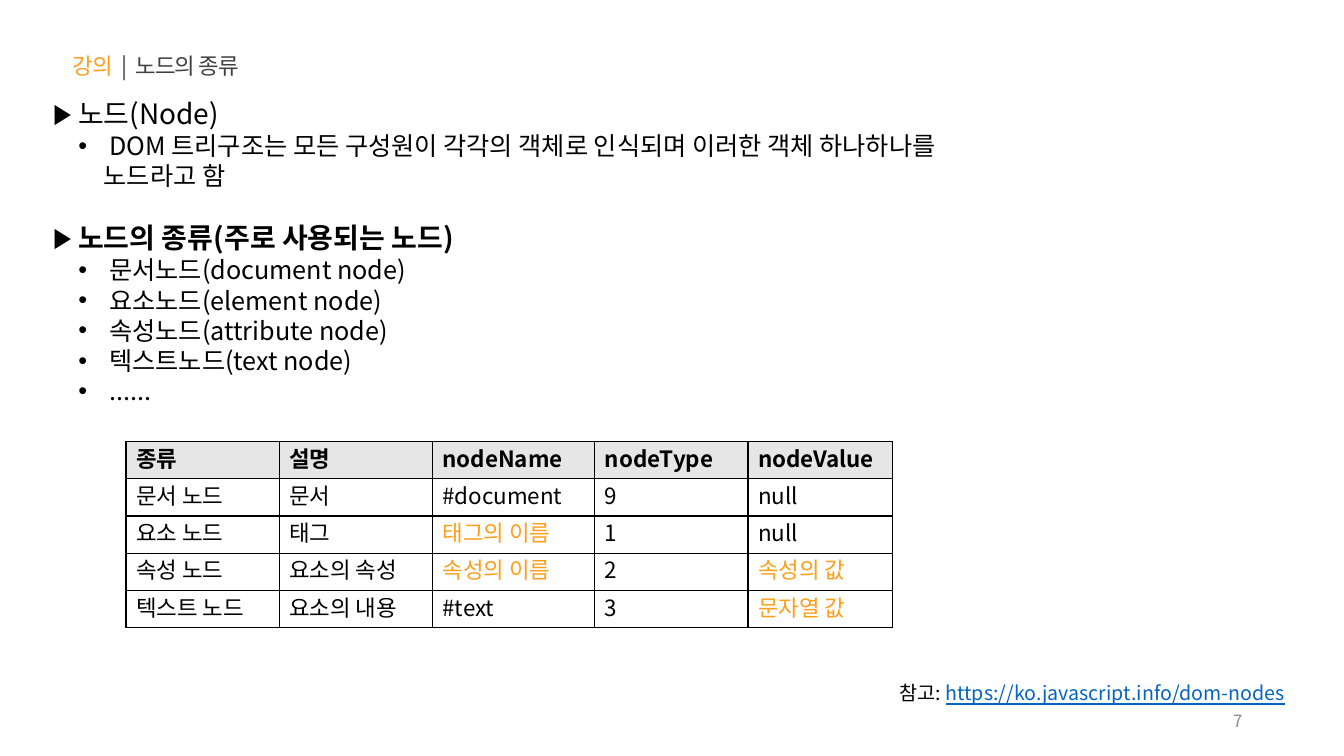
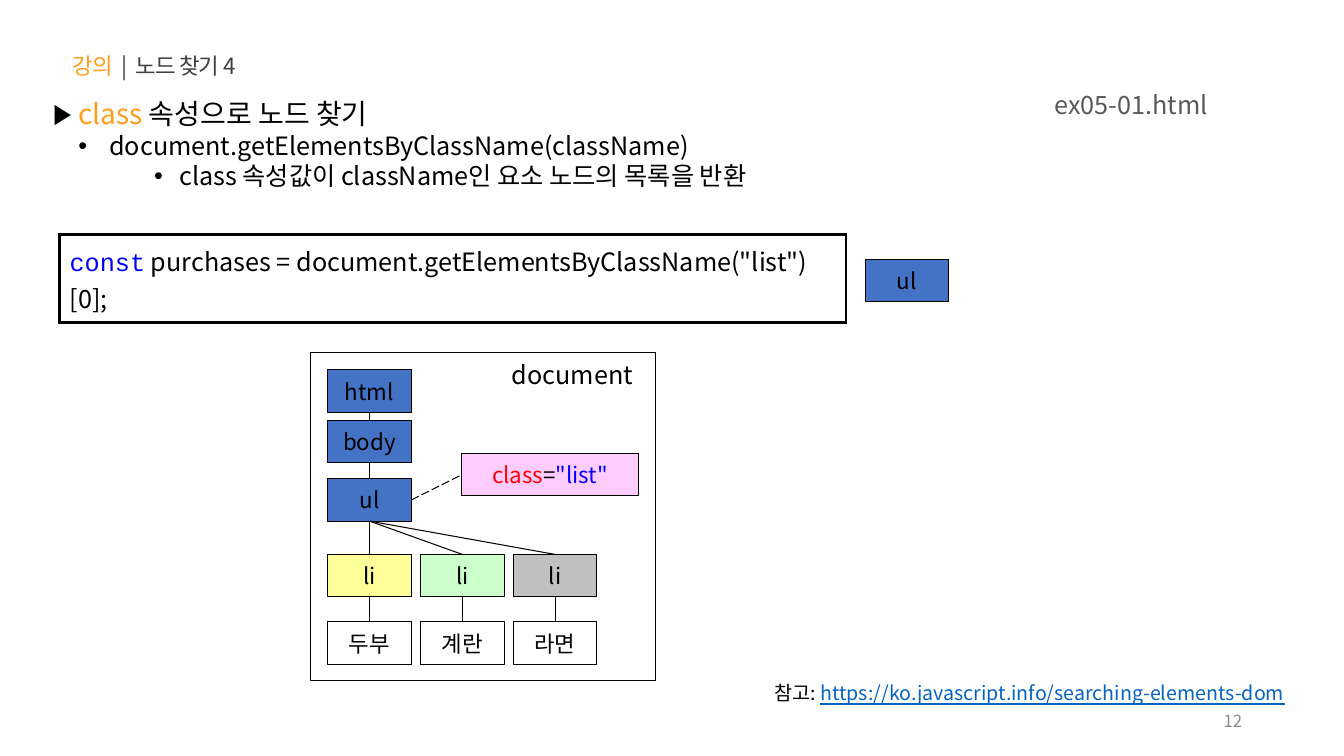
from lxml import etree
from pptx import Presentation
from pptx.dml.color import RGBColor
from pptx.enum.dml import MSO_LINE
from pptx.enum.shapes import MSO_CONNECTOR, MSO_SHAPE
from pptx.enum.text import MSO_ANCHOR, PP_ALIGN
from pptx.oxml.ns import qn
from pptx.util import Inches, Pt

LEFT, CENTER, RIGHT = PP_ALIGN.LEFT, PP_ALIGN.CENTER, PP_ALIGN.RIGHT
TOP, MIDDLE = MSO_ANCHOR.TOP, MSO_ANCHOR.MIDDLE
RECT, STRAIGHT = MSO_SHAPE.RECTANGLE, MSO_CONNECTOR.STRAIGHT
LONG_DASH = MSO_LINE.LONG_DASH

FONT, CODE_FONT = "Noto Sans CJK KR", "Courier New"
BLACK = RGBColor(0x00, 0x00, 0x00)
WHITE = RGBColor(0xFF, 0xFF, 0xFF)
ORANGE = RGBColor(0xFF, 0x9E, 0x1B)
TITLE_GRAY = RGBColor(0x40, 0x40, 0x40)
FILE_GRAY = RGBColor(0x59, 0x59, 0x59)
PAGE_GRAY = RGBColor(0x8C, 0x8C, 0x8C)
HEADER_GRAY = RGBColor(0xE6, 0xE6, 0xE6)
LINK_BLUE = RGBColor(0x05, 0x63, 0xC1)
NODE_BLUE = RGBColor(0x44, 0x72, 0xC4)
CODE_BLUE = RGBColor(0x00, 0x00, 0xFF)
CODE_RED = RGBColor(0xFF, 0x00, 0x00)
PINK = RGBColor(0xFF, 0xCC, 0xFF)
YELLOW = RGBColor(0xFF, 0xFF, 0x99)
GREEN = RGBColor(0xCC, 0xFF, 0xCC)
SILVER = RGBColor(0xC0, 0xC0, 0xC0)

# Bullet sign, text size, left margin and first-line indent of each level
LEVELS = [("▶", 20, 0, 0), ("•", 18, 0.5, -0.25), ("•", 18, 1.25, -0.25)]


def write(p, runs, size, align=LEFT, bold=False, pitch=1.2):
    """Fill a paragraph with (text, colour) runs; pitch is line height over size."""
    p.alignment = align
    p.line_spacing = Pt(round(size * pitch, 1))
    for text, color in runs:
        r = p.add_run()
        r.text = text
        r.font.name = FONT
        r.font.size = Pt(size)
        r.font.bold = bold
        r.font.color.rgb = color
        r.font.underline = color == LINK_BLUE
        etree.SubElement(r._r.get_or_add_rPr(), qn("a:ea"), typeface=FONT)


def add_grid(slide, x, y, widths, rows, row_height, border):
    """Add a table without banding, with black borders of the given points."""
    table = slide.shapes.add_table(
        rows, len(widths), Inches(x), Inches(y),
        Inches(sum(widths)), Inches(row_height * rows)).table
    table.first_row = table.horz_banding = False
    for column, width in zip(table.columns, widths):
        column.width = Inches(width)
    for cell in table.iter_cells():
        tcPr = cell._tc.get_or_add_tcPr()
        for side in ("a:lnL", "a:lnR", "a:lnT", "a:lnB"):
            ln = etree.SubElement(tcPr, qn(side), w=str(Pt(border)))
            fill = etree.SubElement(ln, qn("a:solidFill"))
            etree.SubElement(fill, qn("a:srgbClr"), val=str(BLACK))
        cell.fill.background()
    return table


prs = Presentation()
prs.slide_width, prs.slide_height = Inches(13.33), Inches(7.5)

# Title, page number, reference, body height, body as (level, runs, bold)
PAGES = [
    ("노드의 종류", "7", "https://ko.javascript.info/dom-nodes", 3.17, [
        (0, [(" 노드(Node)", BLACK)], False),
        (1, [(" DOM 트리구조는 모든 구성원이 각각의 객체로 인식되며 "
              "이러한 객체 하나하나를 노드라고 함", BLACK)], False),
        (0, [(" 노드의 종류(주로 사용되는 노드)", BLACK)], True),
        (1, [(" 문서노드(document node)", BLACK)], False),
        (1, [(" 요소노드(element node)", BLACK)], False),
        (1, [(" 속성노드(attribute node)", BLACK)], False),
        (1, [(" 텍스트노드(text node)", BLACK)], False),
        (1, [(" ......", BLACK)], False),
    ]),
    ("노드 찾기 4", "12", "https://ko.javascript.info/searching-elements-dom", 1.03, [
        (0, [(" ", BLACK), ("class ", ORANGE), ("속성으로 노드 찾기", BLACK)], False),
        (1, [(" document.getElementsByClassName(className)", BLACK)], False),
        (2, [("class 속성값이 className인 요소 노드의 목록을 반환", BLACK)], False),
    ]),
]

slides = []
for title, number, link, body_height, body in PAGES:
    slide = prs.slides.add_slide(prs.slide_layouts[6])
    slides.append(slide)
    labels = [
        (0.62, 0.47, 5.15, 0.37, 16, LEFT, TOP,
         [("강의  ", ORANGE), ("|  " + title, TITLE_GRAY)]),
        (9.42, 6.95, 3, 0.4, 12, RIGHT, MIDDLE, [(number, PAGE_GRAY)]),
        (7.27, 6.71, 5.57, 0.34, 14, RIGHT, TOP,
         [("참고: ", BLACK), (link, LINK_BLUE)]),
    ]
    if number == "12":
        labels += [
            (8.08, 0.84, 4, 0.4, 18, RIGHT, TOP, [("ex05-01.html", FILE_GRAY)]),
            (4.98, 3.52, 1.47, 0.4, 18, LEFT, TOP, [("document", BLACK)]),
        ]
    for x, y, w, h, size, align, anchor, runs in labels:
        tf = slide.shapes.add_textbox(Inches(x), Inches(y), Inches(w), Inches(h)).text_frame
        tf.word_wrap = True
        tf.vertical_anchor = anchor
        write(tf.paragraphs[0], runs, size, align)
        if size == 16:
            for r in tf.paragraphs[0].runs:
                r.font._element.set("spc", "-60")

    tf = slide.shapes.add_textbox(
        Inches(0.43), Inches(0.91), Inches(9.14), Inches(body_height)).text_frame
    tf.word_wrap = True
    for i, (level, runs, bold) in enumerate(body):
        p = tf.add_paragraph() if i else tf.paragraphs[0]
        sign, size, margin, indent = LEVELS[level]
        p.level = level
        write(p, runs, size, bold=bold)
        if i and level == 0:
            p.space_before = Pt(21.6)
        pPr = p._p.get_or_add_pPr()
        pPr.set("marL", str(Inches(margin)))
        pPr.set("indent", str(Inches(indent)))
        etree.SubElement(pPr, qn("a:buFont"), typeface="Arial")
        etree.SubElement(pPr, qn("a:buChar"), char=sign)

kinds_slide, search_slide = slides

# Table of node kinds
NODE_ROWS = [
    ["종류", "설명", "nodeName", "nodeType", "nodeValue"],
    ["문서 노드", "문서", "#document", "9", "null"],
    ["요소 노드", "태그", "태그의 이름", "1", "null"],
    ["속성 노드", "요소의 속성", "속성의 이름", "2", "속성의 값"],
    ["텍스트 노드", "요소의 내용", "#text", "3", "문자열 값"],
]
HIGHLIGHTS = {"태그의 이름", "속성의 이름", "속성의 값", "문자열 값"}
table = add_grid(kinds_slide, 1.25, 4.38, [1.52, 1.52, 1.61, 1.52, 1.43],
                 len(NODE_ROWS), 0.37, 1)
for i, row in enumerate(NODE_ROWS):
    for j, text in enumerate(row):
        cell = table.cell(i, j)
        color = ORANGE if text in HIGHLIGHTS else BLACK
        write(cell.text_frame.paragraphs[0], [(text, color)], 16, bold=i == 0)
        if i == 0:
            cell.fill.solid()
            cell.fill.fore_color.rgb = HEADER_GRAY

# Code line
cell = add_grid(search_slide, 0.59, 2.33, [7.8], 1, 0.87, 2.25).cell(0, 0)
cell.vertical_anchor = MIDDLE
p = cell.text_frame.paragraphs[0]
write(p, [("const", CODE_BLUE),
          (' purchases = document.getElementsByClassName("list")[0];', BLACK)],
      18, pitch=1.45)
p.runs[0].font.name = CODE_FONT

# Document tree
frame = search_slide.shapes.add_shape(
    RECT, Inches(3.08), Inches(3.5), Inches(3.42), Inches(3.25))
frame.shadow.inherit = False
frame.fill.background()
frame.line.color.rgb = BLACK
frame.line.width = Pt(0.75)

BOX_W, BOX_H, TREE_X, TREE_STEP = 0.83, 0.42, 3.25, 0.92
boxes = [
    ("result", 8.58, 2.57, BOX_W, NODE_BLUE, [("ul", BLACK)]),
    ("html", TREE_X, 3.67, BOX_W, NODE_BLUE, [("html", BLACK)]),
    ("body", TREE_X, 4.17, BOX_W, NODE_BLUE, [("body", BLACK)]),
    ("ul", TREE_X, 4.75, BOX_W, NODE_BLUE, [("ul", BLACK)]),
    ("class", 4.58, 4.5, 1.75, PINK,
     [("class", CODE_RED), ("=", BLACK), ('"list"', CODE_BLUE)]),
]
# Joined boxes with the side where the line starts and the side where it ends
links = [("html", 2, "body", 0), ("body", 2, "ul", 0), ("ul", 3, "class", 1)]
for i, (item, color) in enumerate([("두부", YELLOW), ("계란", GREEN), ("라면", SILVER)]):
    x, li = TREE_X + i * TREE_STEP, f"li{i}"
    boxes += [(li, x, 5.5, BOX_W, color, [("li", BLACK)]),
              (item, x, 6.17, BOX_W, WHITE, [(item, BLACK)])]
    links += [("ul", 2, li, 0), (li, 2, item, 0)]

nodes = {}
for name, x, y, w, color, runs in boxes:
    sp = search_slide.shapes.add_shape(RECT, Inches(x), Inches(y), Inches(w), Inches(BOX_H))
    sp.shadow.inherit = False
    sp.fill.solid()
    sp.fill.fore_color.rgb = color
    sp.line.color.rgb = BLACK
    sp.line.width = Pt(0.75)
    sp.text_frame.word_wrap = False
    sp.text_frame.vertical_anchor = MIDDLE
    write(sp.text_frame.paragraphs[0], runs, 16, CENTER)
    nodes[name] = sp

for start, start_side, end, end_side in links:
    line = search_slide.shapes.add_connector(STRAIGHT, 0, 0, 0, 0)
    line.begin_connect(nodes[start], start_side)
    line.end_connect(nodes[end], end_side)
    line.line.color.rgb = BLACK
    line.line.width = Pt(0.75)
    if end == "class":
        line.line.dash_style = LONG_DASH
    etree.SubElement(line._element.spPr, qn("a:effectLst"))

prs.save("out.pptx")
